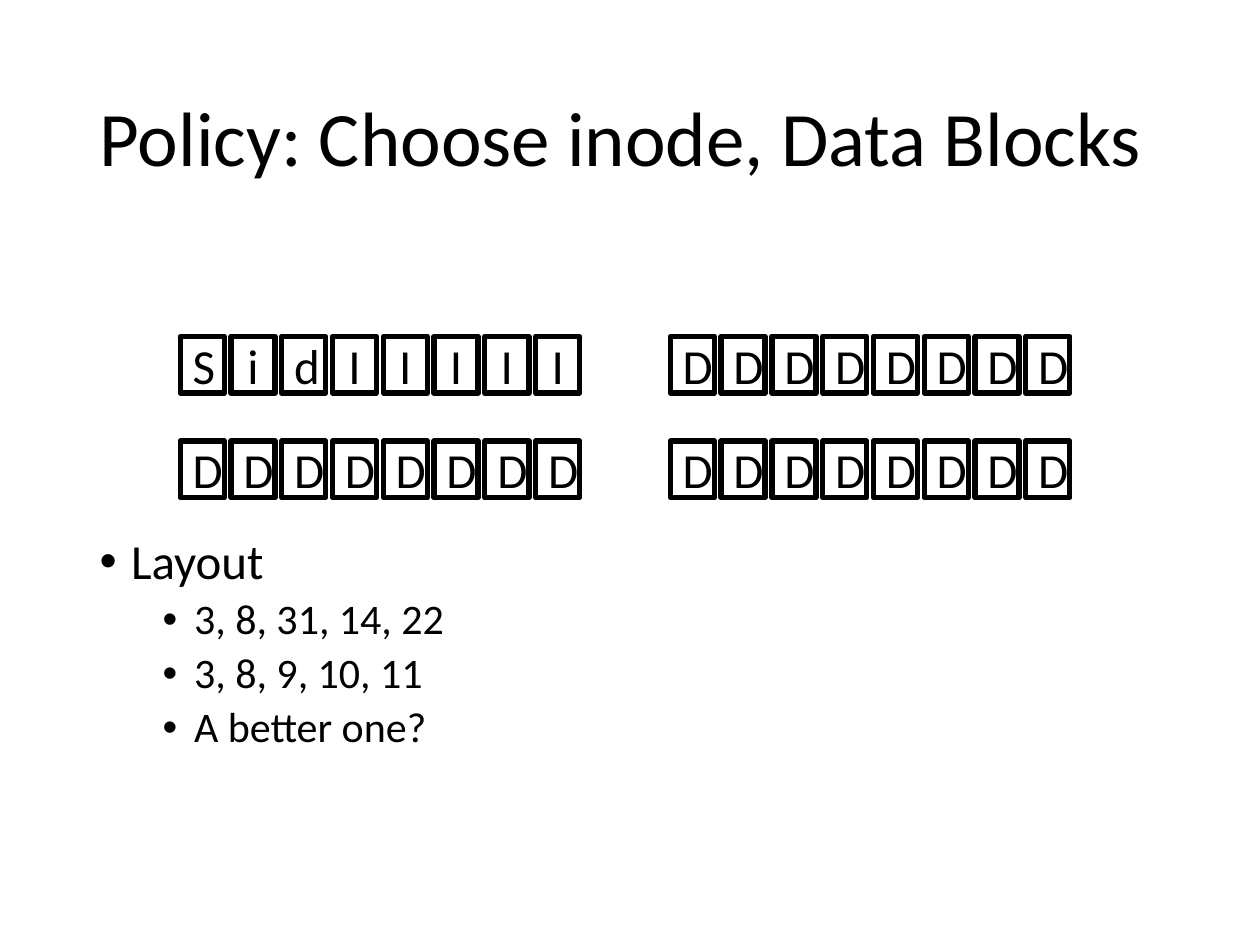
"""Build a slide on choosing inodes and data blocks in a file system."""
from lxml import etree
from pptx import Presentation
from pptx.dml.color import RGBColor
from pptx.enum.shapes import MSO_SHAPE
from pptx.enum.text import MSO_ANCHOR, MSO_AUTO_SIZE, PP_ALIGN
from pptx.oxml.ns import qn
from pptx.util import Inches, Pt

RECTANGLE = MSO_SHAPE.RECTANGLE
MIDDLE, TOP = MSO_ANCHOR.MIDDLE, MSO_ANCHOR.TOP
LEFT, CENTER = PP_ALIGN.LEFT, PP_ALIGN.CENTER
NO_AUTOFIT = MSO_AUTO_SIZE.NONE
TITLE_AND_CONTENT = 1
COLORS = {"ink": "000000", "paper": "FFFFFF"}
FONT = "Calibri"


def write_text(paragraph, text, size, align=LEFT, line_spacing=None, space_before=None):
    paragraph.alignment = align
    if line_spacing is not None:
        paragraph.line_spacing = line_spacing
    if space_before is not None:
        paragraph.space_before = Pt(space_before)
    run = paragraph.add_run()
    run.text = text
    run.font.name = FONT
    run.font.size = Pt(size)
    run.font.color.rgb = RGBColor.from_string(COLORS["ink"])


class SlideBuilder:
    """Hold the current slide and add its styled elements."""

    def __init__(self, presentation):
        layout = presentation.slide_layouts[TITLE_AND_CONTENT]
        self.slide = presentation.slides.add_slide(layout)
        fill = self.slide.background.fill
        fill.solid()
        fill.fore_color.rgb = RGBColor.from_string(COLORS["paper"])

    def placeholder(self, index, left, top, width, height, anchor):
        shape = self.slide.placeholders[index]
        shape.left, shape.top = Inches(left), Inches(top)
        shape.width, shape.height = Inches(width), Inches(height)
        frame = shape.text_frame
        frame.auto_size = NO_AUTOFIT
        frame.vertical_anchor = anchor
        return frame

    def title(self, text):
        frame = self.placeholder(0, 0.69, 0.4, 8.62, 1.45, MIDDLE)
        write_text(frame.paragraphs[0], text, 44, line_spacing=0.9)

    def bullets(self, items):
        frame = self.placeholder(1, 0.69, 4.21, 8.62, 2.54, TOP)
        for number, (level, text) in enumerate(items):
            paragraph = frame.add_paragraph() if number else frame.paragraphs[0]
            paragraph.level = level
            write_text(paragraph, text, 28 - 4 * level, line_spacing=0.9,
                       space_before=5 if level else 10)
            properties = paragraph._p.get_or_add_pPr()
            properties.set("marL", str(Inches(0.25 + 0.5 * level)))
            properties.set("indent", str(Inches(-0.25)))
            etree.SubElement(properties, qn("a:buChar")).set("char", "•")

    def block(self, text, left, top):
        shape = self.slide.shapes.add_shape(
            RECTANGLE, Inches(left), Inches(top), Inches(0.35), Inches(0.45))
        shape.shadow.inherit = False
        shape.fill.background()
        shape.line.color.rgb = RGBColor.from_string(COLORS["ink"])
        shape.line.width = Pt(3)
        frame = shape.text_frame
        frame.word_wrap = True
        frame.vertical_anchor = MIDDLE
        write_text(frame.paragraphs[0], text, 28, align=CENTER)

    def block_group(self, letters, left, top, pitch=0.403):
        for position, letter in enumerate(letters):
            self.block(letter, left + position * pitch, top)


def main():
    presentation = Presentation()
    presentation.slide_width, presentation.slide_height = Inches(10), Inches(7.5)
    builder = SlideBuilder(presentation)
    builder.title("Policy: Choose inode, Data Blocks")
    builder.bullets([
        (0, "Layout"),
        (1, "3, 8, 31, 14, 22"),
        (1, "3, 8, 9, 10, 11"),
        (1, "A better one?"),
    ])
    data_blocks = "D" * 8
    disk_rows = [("SidIIIII", data_blocks), (data_blocks, data_blocks)]
    for row, groups in enumerate(disk_rows):
        for column, letters in enumerate(groups):
            builder.block_group(letters, 1.43 + 3.89 * column, 2.67 + 0.83 * row)
    presentation.save("out.pptx")


main()
